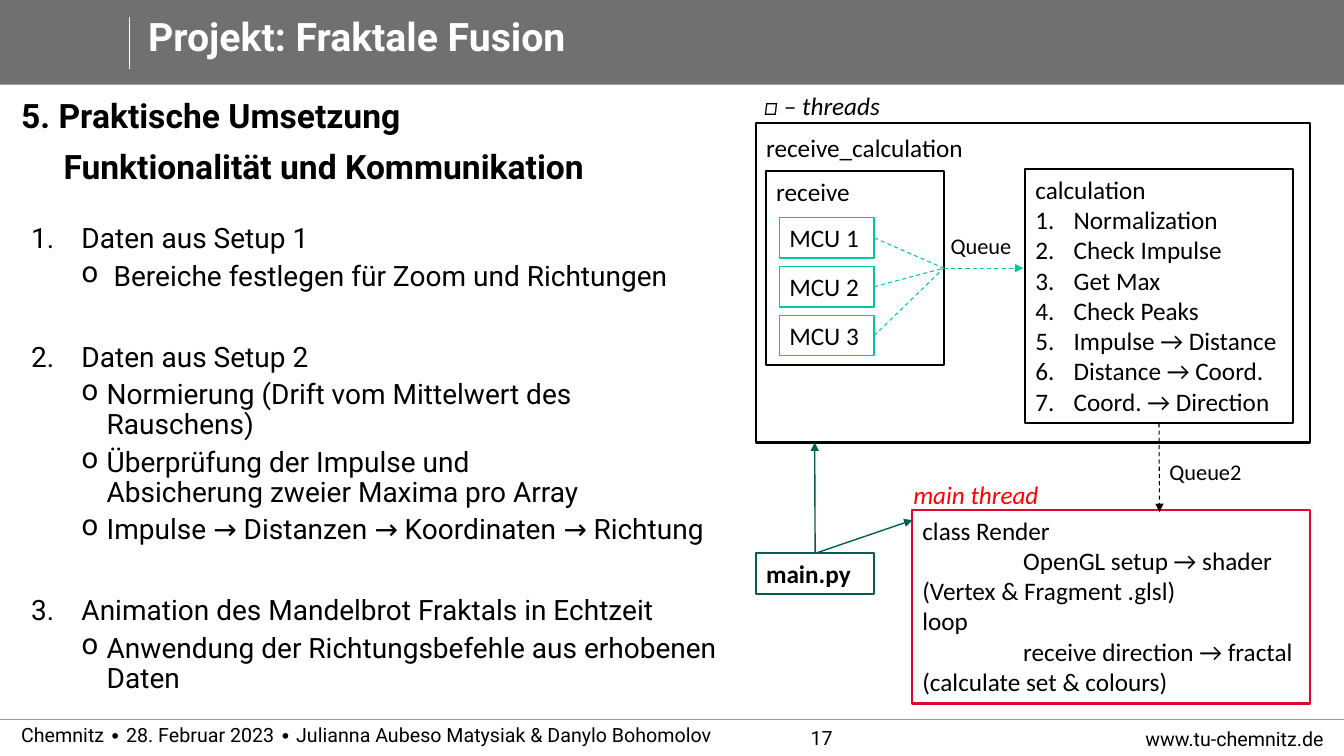
from pptx import Presentation
from pptx.dml.color import RGBColor
from pptx.enum import dml, shapes, text
from pptx.oxml import ns
from pptx.util import Inches, Pt
from lxml import etree

BLACK = RGBColor(0x00, 0x00, 0x00)
WHITE = RGBColor(0xFF, 0xFF, 0xFF)
HEADER_GREY = RGBColor(0x6F, 0x70, 0x70)
RULE_GREY = RGBColor(0x99, 0x99, 0x99)
TURQUOISE = RGBColor(0x00, 0xC6, 0xA7)
GREEN = RGBColor(0x00, 0x5F, 0x50)
CRIMSON = RGBColor(0xE4, 0x03, 0x2D)
RED = RGBColor(0xFF, 0x00, 0x00)

TOP, LEFT, BOTTOM, RIGHT = range(4)
LINE_BREAK = "\n"

OUTLINE = [
    ("Daten aus Setup 1", [" Bereiche festlegen für Zoom und Richtungen"]),
    ("Daten aus Setup 2", [
        "Normierung (Drift vom Mittelwert des Rauschens)",
        "Überprüfung der Impulse und \nAbsicherung zweier Maxima pro Array",
        "Impulse → Distanzen → Koordinaten → Richtung"]),
    ("Animation des Mandelbrot Fraktals in Echtzeit",
     ["Anwendung der Richtungsbefehle aus erhobenen Daten"]),
]
CALCULATION_STEPS = ["Normalization", "Check Impulse", "Get Max", "Check Peaks",
                     "Impulse → Distance", "Distance → Coord.", "Coord. → Direction"]


def add_paragraph(frame, content, size, font="Calibri", color=BLACK, bold=False,
                  italic=False, margin=0, indent=0, bullet=None, number=None,
                  level=0, before=0, spacing=None, align=None):
    """Append a paragraph, using the frame's empty first one if there is one."""
    first = frame.paragraphs[0]
    is_first = len(frame.paragraphs) == 1 and not first.runs
    paragraph = first if is_first else frame.add_paragraph()
    paragraph.level = level
    paragraph.alignment = align
    if spacing:
        paragraph.line_spacing = spacing
    if before and not is_first:
        paragraph.space_before = Pt(before)
    properties = paragraph._p.get_or_add_pPr()
    properties.set("marL", str(Inches(margin)))
    properties.set("indent", str(Inches(indent)))
    if bullet:
        etree.SubElement(properties, ns.qn("a:buChar"), char=bullet)
    elif number:
        etree.SubElement(properties, ns.qn("a:buAutoNum"), type="arabicPeriod",
                         startAt=str(number))
    for index, line in enumerate(content.split(LINE_BREAK)):
        if index:
            paragraph.add_line_break()
        run = paragraph.add_run()
        run.text = line
        run.font.name = font
        run.font.size = Pt(size)
        run.font.color.rgb = color
        run.font.bold = bold
        run.font.italic = italic
    return paragraph


def prepare_frame(frame, anchor, inset):
    frame.word_wrap = True
    frame.vertical_anchor = anchor
    if not inset:
        frame.margin_left = frame.margin_right = 0
        frame.margin_top = frame.margin_bottom = 0
    return frame


def add_text(slide, box, anchor=text.MSO_ANCHOR.TOP, inset=True):
    text_box = slide.shapes.add_textbox(*map(Inches, box))
    return prepare_frame(text_box.text_frame, anchor, inset)


def add_box(slide, box, line=None, width=1.5, fill=None, label=None, bold=False):
    shape = slide.shapes.add_shape(shapes.MSO_SHAPE.RECTANGLE, *map(Inches, box))
    shape.shadow.inherit = False
    if fill is None:
        shape.fill.background()
    else:
        shape.fill.solid()
        shape.fill.fore_color.rgb = fill
    if line is None:
        shape.line.fill.background()
    else:
        shape.line.color.rgb = line
        shape.line.width = Pt(width)
    frame = prepare_frame(shape.text_frame, text.MSO_ANCHOR.TOP, True)
    if label:
        add_paragraph(frame, label, 18, bold=bold, align=text.PP_ALIGN.LEFT)
    return shape


def add_line(slide, color, width, start=(0, 0), end=(0, 0), begin_at=None, end_at=None,
             dashed=False, arrow=False):
    """Draw a line; begin_at and end_at are (shape, side) pairs to join."""
    connector = slide.shapes.add_connector(
        shapes.MSO_CONNECTOR.STRAIGHT, *map(Inches, (*start, *end)))
    if begin_at:
        connector.begin_connect(*begin_at)
    if end_at:
        connector.end_connect(*end_at)
    connector.line.color.rgb = color
    connector.line.width = Pt(width)
    if dashed:
        connector.line.dash_style = dml.MSO_LINE.DASH
    if arrow:
        etree.SubElement(connector.line._get_or_add_ln(), ns.qn("a:tailEnd"), type="triangle")
    etree.SubElement(connector._element.spPr, ns.qn("a:effectLst"))


def add_header(slide, box):
    left, top, width, height = box
    add_box(slide, box, fill=HEADER_GREY)
    add_line(slide, WHITE, 0.5, (left + 1.28, top + 0.17), (left + 1.28, top + 0.68))
    frame = add_text(slide, (left + 1.47, top + 0.17, width - 1.68, 0.51), inset=False)
    add_paragraph(frame, "Projekt: Fraktale Fusion", 28, "Roboto", WHITE, bold=True, spacing=0.9)


def add_footer(slide, box):
    left, top, width, height = box
    add_line(slide, RULE_GREY, 1, (left, top), (left + width, top))
    entries = [
        ("www.tu-chemnitz.de", 9.03, 4.1, 0.37, text.PP_ALIGN.RIGHT),
        ("17", 5.09, 6.12, 0.36, text.PP_ALIGN.CENTER),
        ("Chemnitz ∙ 28. Februar 2023 ∙ Julianna Aubeso Matysiak & Danylo Bohomolov",
         0.21, 7.05, 0.3, text.PP_ALIGN.LEFT),
    ]
    for content, offset, entry_width, entry_height, align in entries:
        frame = add_text(slide, (left + offset, top, entry_width, entry_height),
                         text.MSO_ANCHOR.MIDDLE, inset=False)
        add_paragraph(frame, content, 14, "Roboto", align=align)


def add_outline(slide, box):
    left, top, width, height = box
    heading = add_text(slide, (left, top, width, 1.02), inset=False)
    add_paragraph(heading, "5. Praktische Umsetzung", 24, "Roboto", bold=True, spacing=0.9)
    add_paragraph(heading, "Funktionalität und Kommunikation", 24, "Roboto", bold=True,
                  margin=0.42, before=10, spacing=0.9)
    body = add_text(slide, (left, top + 1.19, width, height - 1.19))
    for number, (topic, details) in enumerate(OUTLINE, 1):
        add_paragraph(body, topic, 20, "Roboto", margin=0.5, indent=-0.5, number=number,
                      before=36.5, spacing=0.9)
        for detail in details:
            add_paragraph(body, detail, 20, "Roboto", margin=0.75, indent=-0.25, bullet="o",
                          level=1, before=5, spacing=0.9)


def add_thread_diagram(slide, box):
    left, top, width, height = box

    def place(x, y, w, h):
        return left + x, top + y, w, h

    def point(x, y):
        return left + x, top + y

    outer = add_box(slide, place(0, 0.37, width, 3.17), BLACK, label="receive_calculation")
    outer.text_frame.margin_top = Inches(0.09)
    receive = add_box(slide, place(0.1, 0.85, 1.76, 1.92), BLACK, label="receive")
    sensors = [add_box(slide, place(0.23, 1.31 + 0.485 * index, 0.94, 0.4), TURQUOISE, 1,
                       WHITE, f"MCU {index + 1}") for index in range(3)]
    calculation = add_box(slide, place(2.67, 0.83, 2.65, 2.52), BLACK, label="calculation")
    for step in CALCULATION_STEPS:
        add_paragraph(calculation.text_frame, step, 18, margin=0.38, indent=-0.38, number=1,
                      align=text.PP_ALIGN.LEFT)
    render = add_box(slide, place(1.55, 4.21, width - 1.55, 1.92), CRIMSON, fill=WHITE,
                     label="class Render")
    for line, indent in [("OpenGL setup → shader (Vertex & Fragment .glsl)", 1), ("loop", 0),
                         ("receive direction → fractal (calculate set & colours)", 1)]:
        add_paragraph(render.text_frame, line, 18, indent=indent, align=text.PP_ALIGN.LEFT)
    main = add_box(slide, place(0, 4.64, 1.17, 0.4), GREEN, fill=WHITE, label="main.py", bold=True)

    for sensor in sensors:
        add_line(slide, TURQUOISE, 0.75, begin_at=(sensor, RIGHT), end_at=(receive, RIGHT),
                 dashed=True)
    add_line(slide, TURQUOISE, 0.75, end=point(2.65, 1.81), begin_at=(receive, RIGHT),
             dashed=True, arrow=True)
    for target in (point(0.58, 3.54), point(1.55, 4.31)):
        add_line(slide, GREEN, 1, end=target, begin_at=(main, TOP), arrow=True)
    add_line(slide, BLACK, 0.75, end=point(4, 4.23), begin_at=(calculation, BOTTOM),
             dashed=True, arrow=True)

    labels = [
        ("Queue", place(1.83, 1.4, 0.82, 0.37), 16, BLACK, False),
        ("Queue2", place(4, 3.65, 1.11, 0.37), 16, BLACK, False),
        ("main thread", place(1.46, 3.86, 1.67, 0.4), 18, RED, True),
        ("□ – threads", place(-0.03, 0, 1.57, 0.4), 18, BLACK, True),
    ]
    for content, label_box, size, color, italic in labels:
        add_paragraph(add_text(slide, label_box), content, size, color=color, italic=italic)


def main():
    presentation = Presentation()
    presentation.slide_width = Inches(13.33)
    presentation.slide_height = Inches(7.5)
    slide = presentation.slides.add_slide(presentation.slide_layouts[6])
    add_header(slide, (0, 0, 13.33, 0.84))
    add_footer(slide, (0, 7.14, 13.33, 0.36))
    add_outline(slide, (0.21, 0.99, 7.05, 5.95))
    add_thread_diagram(slide, (7.5, 0.85, 5.49, 6.13))
    presentation.save("out.pptx")


if __name__ == "__main__":
    main()
